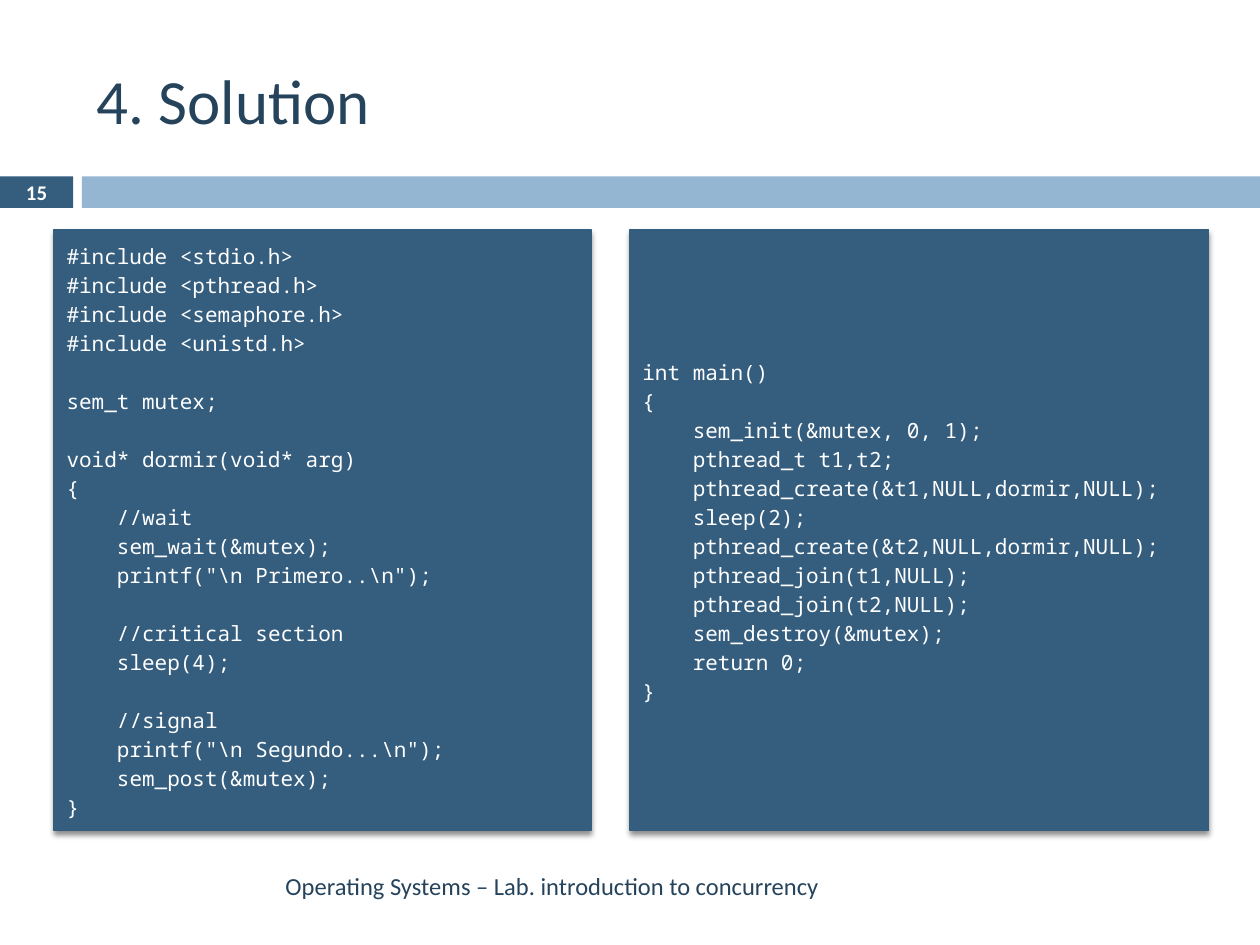
from lxml import etree
from pptx import Presentation
from pptx.dml.color import RGBColor
from pptx.enum.shapes import MSO_SHAPE
from pptx.enum.text import MSO_ANCHOR, PP_ALIGN
from pptx.oxml import parse_xml
from pptx.util import Inches, Pt

RECTANGLE = MSO_SHAPE.RECTANGLE
MIDDLE = MSO_ANCHOR.MIDDLE
LEFT, CENTER, RIGHT, JUSTIFY = (
    PP_ALIGN.LEFT, PP_ALIGN.CENTER, PP_ALIGN.RIGHT, PP_ALIGN.JUSTIFY)

COLORS = {"panel": "345D7E", "band": "94B6D2", "ink": "26435C",
          "white": "FFFFFF", "shadow": "000000"}
TEXT_FONT = "Calibri"
CODE_FONT = "Noto Sans Mono"
CODE_LINE = Pt(16.55)
INDENT = Inches(0.4)

SHADOW_XML = (
    '<a:effectLst xmlns:a="http://schemas.openxmlformats.org/drawingml/2006/main">'
    '<a:outerShdw blurRad="{blur}" dist="{distance}" dir="5400000" rotWithShape="0">'
    '<a:srgbClr val="{color}"><a:alpha val="45000"/></a:srgbClr>'
    '</a:outerShdw></a:effectLst>')

# Leading spaces set the indent, an empty line widens the gap above the next one
THREAD_CODE = r"""#include <stdio.h>
#include <pthread.h>
#include <semaphore.h>
#include <unistd.h>

sem_t mutex;

void* dormir(void* arg)
{
    //wait
    sem_wait(&mutex);
    printf("\n Primero..\n");

    //critical section
    sleep(4);

    //signal
    printf("\n Segundo...\n");
    sem_post(&mutex);
}"""

MAIN_CODE = """int main()
{
    sem_init(&mutex, 0, 1);
    pthread_t t1,t2;
    pthread_create(&t1,NULL,dormir,NULL);
    sleep(2);
    pthread_create(&t2,NULL,dormir,NULL);
    pthread_join(t1,NULL);
    pthread_join(t2,NULL);
    sem_destroy(&mutex);
    return 0;
}"""


def color(name):
    return RGBColor.from_string(COLORS[name])


def write_text(paragraph, text, size, ink="ink", font=TEXT_FONT, bold=False, align=LEFT):
    paragraph.alignment = align
    run = paragraph.add_run()
    run.text = text
    run.font.size = Pt(size)
    run.font.name = font
    run.font.bold = bold
    run.font.color.rgb = color(ink)


def add_rectangle(slide, left, top, width, height, fill):
    shape = slide.shapes.add_shape(
        RECTANGLE, Inches(left), Inches(top), Inches(width), Inches(height))
    shape.shadow.inherit = False
    shape.fill.solid()
    shape.fill.fore_color.rgb = color(fill)
    shape.line.fill.background()
    return shape


def add_label(slide, left, top, width, height, text, **text_format):
    box = slide.shapes.add_textbox(
        Inches(left), Inches(top), Inches(width), Inches(height))
    box.text_frame.word_wrap = True
    box.text_frame.vertical_anchor = MIDDLE
    write_text(box.text_frame.paragraphs[0], text, **text_format)
    return box


def add_soft_shadow(shape):
    properties = shape.fill._xPr
    for effects in properties.findall("{*}effectLst"):
        properties.remove(effects)
    properties.append(parse_xml(SHADOW_XML.format(
        blur=Pt(3), distance=Pt(2.4), color=COLORS["shadow"])))


def add_code_panel(slide, left, width, code):
    panel = add_rectangle(slide, left, 1.82, width, 4.77, "panel")
    panel.line.color.rgb = color("panel")
    panel.line.width = Pt(0.79)
    add_soft_shadow(panel)
    frame = panel.text_frame
    frame.word_wrap = True
    frame.vertical_anchor = MIDDLE
    paragraph = frame.paragraphs[0]
    gap = False
    for number, line in enumerate(code.splitlines()):
        if not line:
            gap = True
            continue
        if number:
            paragraph = frame.add_paragraph()
        write_text(paragraph, line.strip(), size=12, ink="white", font=CODE_FONT,
                   align=JUSTIFY)
        paragraph.line_spacing = CODE_LINE
        paragraph.space_before = CODE_LINE if gap else Pt(0)
        if line.startswith(" "):
            paragraph._p.get_or_add_pPr().set("marL", str(INDENT))
        gap = False


def add_title(slide, text):
    title = slide.shapes.title
    title.left, title.top = Inches(0.67), Inches(0.25)
    title.width, title.height = Inches(8.92), Inches(1.08)
    title.text_frame.vertical_anchor = MIDDLE
    write_text(title.text_frame.paragraphs[0], text, size=36)


def main():
    presentation = Presentation()
    presentation.slide_width, presentation.slide_height = Inches(10), Inches(7.5)
    slide = presentation.slides.add_slide(presentation.slide_layouts[6])

    # Header band with page number
    add_rectangle(slide, 0, 1.4, 0.58, 0.25, "panel")
    add_rectangle(slide, 0.65, 1.4, 9.35, 0.25, "band")
    add_label(slide, 0, 1.39, 0.58, 0.27, "15", size=11.9, ink="white", bold=True,
              align=CENTER)

    # Title and footer
    add_label(slide, 0.67, 0.25, 8.92, 1.08, "4. Solution", size=36)
    add_label(slide, 0.67, 6.83, 5.93, 0.4,
              "Operating Systems – Lab. introduction to concurrency",
              size=14, align=RIGHT)

    # Code panels
    add_code_panel(slide, 0.43, 4.26, THREAD_CODE)
    add_code_panel(slide, 5, 4.59, MAIN_CODE)

    presentation.save("out.pptx")


main()
